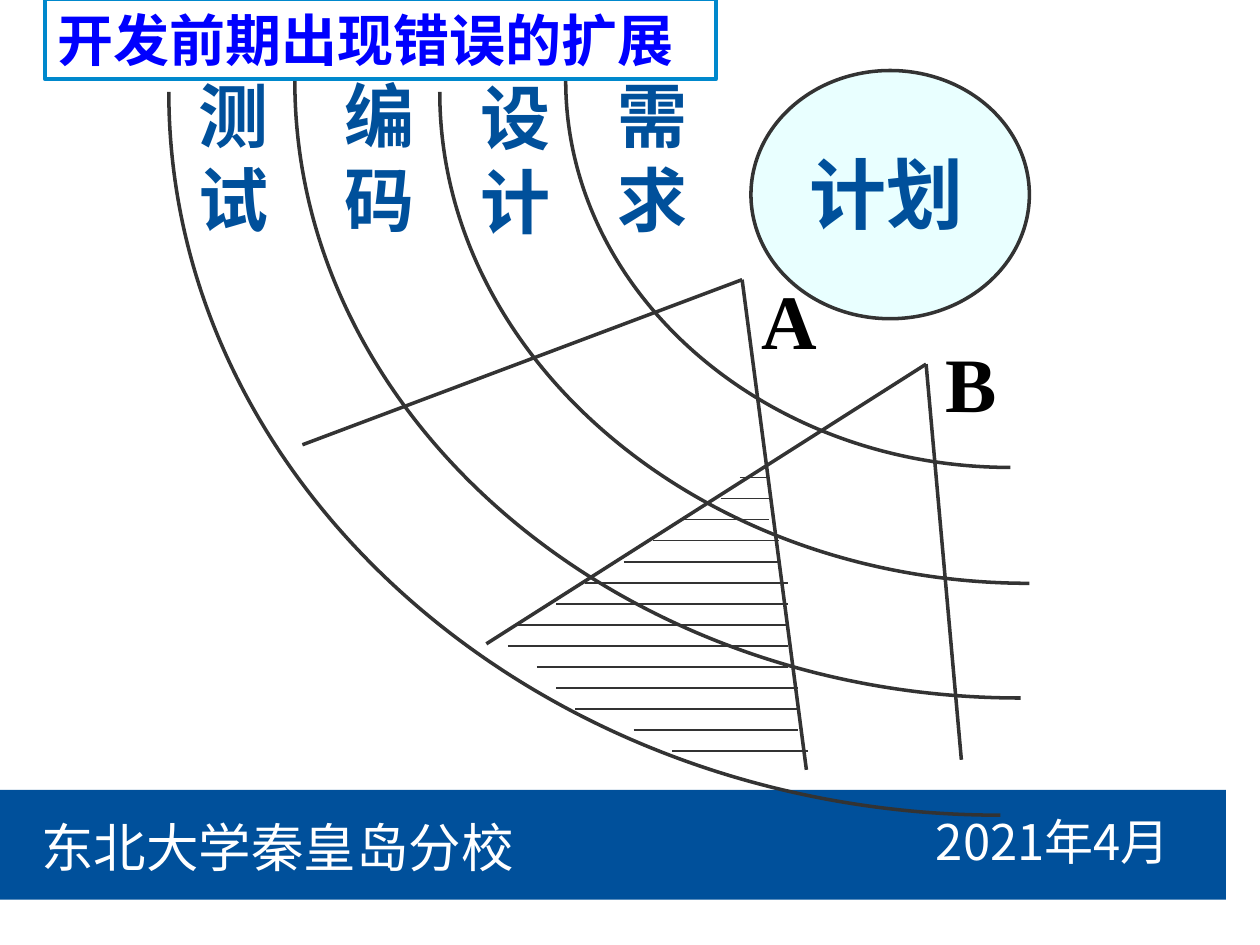
from pptx import Presentation
from pptx.dml.color import RGBColor
from pptx.enum.shapes import MSO_CONNECTOR, MSO_SHAPE
from pptx.enum.text import MSO_ANCHOR, PP_ALIGN
from pptx.util import Inches, Pt
from lxml import etree

RECT, OVAL = MSO_SHAPE.RECTANGLE, MSO_SHAPE.OVAL
LEFT, MID = PP_ALIGN.LEFT, PP_ALIGN.CENTER
TOP, CORE = MSO_ANCHOR.TOP, MSO_ANCHOR.MIDDLE
LINE = MSO_CONNECTOR.STRAIGHT
NS = "{http://schemas.openxmlformats.org/drawingml/2006/main}"

THEME = {
    "navy": "00509B", "sky": "0088CC", "pale": "E9FFFF", "ink": "333333",
    "blue": "0000FF", "white": "FFFFFF", "black": "000000",
    "sans": "Noto Sans CJK SC", "serif": "Times New Roman",
    "title": 32, "plan": 44, "phase": 40, "mark": 44, "place": 30, "date": 28,
    "pitch": 1.2, "thin": 1, "bold": 2, "frame": 2.25,
}

WIDE, HIGH = 10, 7.5
BAND = (0, 6.27, 9.73, 0.87)
PLAN = (5.96, 0.56, 2.21, 1.97)
HEAD = (0.36, -0.01, 5.32, 0.64)

# text, box, size key, colour key, font key, bold, alignment
FOOT = [
    ("东北大学秦皇岛分校", (0.23, 6.41, 3.99, 0.61), "place", "white", "sans", False, LEFT),
    ("2021年4月", (7.19, 6.41, 2.33, 0.52), "date", "white", "sans", False, MID),
]
LABELS = [
    ("计划", (6.32, 1.11, 1.44, 0.84), "plan", "navy", "sans", True, MID),
    ("A", (5.94, 2.11, 0.65, 0.84), "mark", "black", "serif", True, MID),
    ("B", (7.4, 2.61, 0.61, 0.84), "mark", "black", "serif", True, MID),
]
# phase, centre of its label, label top, then left, top, width, height of its arc
PHASES = [
    ("需求", 5.18, 0.53, (4.49, 0.64, 3.53, 3.07)),
    ("设计", 4.09, 0.54, (3.49, 0.73, 4.68, 3.9)),
    ("编码", 3.01, 0.53, (2.34, 0.64, 5.76, 4.9)),
    ("测试", 1.85, 0.53, (1.34, 0.73, 6.6, 5.74)),
]
# tip of each error cone and the ends of its two sides
CONES = [
    ((5.89, 2.22), [(2.4, 3.53), (6.4, 6.11)]),
    ((7.35, 2.89), [(3.86, 5.11), (7.63, 6.03)]),
]
# first and last column of each hatch row
HATCH = [(24, 27), (22, 27), (18, 27), (15, 28), (12, 28), (8, 29), (5, 29),
         (1, 29), (0, 29), (3, 29), (5, 30), (7, 30), (13, 30), (17, 31)]
HATCH_X, HATCH_Y = 4.03, 3.79
COL = (6.41 - HATCH_X) / 31
ROW = (5.96 - HATCH_Y) / (len(HATCH) - 1)
BEND = 0.55

deck = Presentation()
deck.slide_width, deck.slide_height = Inches(WIDE), Inches(HIGH)
slide = deck.slides.add_slide(deck.slide_layouts[6])
shapes = slide.shapes


def tone(key):
    return RGBColor.from_string(THEME[key])


def paint(shape, fill=None, line=None, width="bold"):
    shape.shadow.inherit = False
    if fill:
        shape.fill.solid()
        shape.fill.fore_color.rgb = tone(fill)
    else:
        shape.fill.background()
    if line:
        shape.line.color.rgb = tone(line)
        shape.line.width = Pt(THEME[width])
    else:
        shape.line.fill.background()


def block(kind, box, **look):
    shape = shapes.add_shape(kind, *map(Inches, box))
    paint(shape, **look)
    return shape


def write(shape, lines, size, color, face, bold, align, anchor=CORE):
    """Set the lines as paragraphs; centred text needs no side margins."""
    body = shape.text_frame
    side = Inches(0 if align == MID else 0.1)
    form = {"word_wrap": False, "vertical_anchor": anchor,
            "margin_left": side, "margin_right": side,
            "margin_top": Inches(0.05), "margin_bottom": Inches(0.05)}
    for key, value in form.items():
        setattr(body, key, value)
    for i, text in enumerate(lines):
        para = body.paragraphs[0] if i == 0 else body.add_paragraph()
        para.alignment = align
        if len(lines) > 1:
            para.line_spacing = Pt(THEME[size] * THEME["pitch"])
        run = para.add_run()
        run.text = text
        for key, value in {"size": Pt(THEME[size]), "bold": bold,
                           "name": THEME[face]}.items():
            setattr(run.font, key, value)
        run.font.color.rgb = tone(color)
        east = etree.SubElement(run.font._element, NS + "ea")
        east.set("typeface", THEME[face])


def label(text, box, *style):
    write(shapes.add_textbox(*map(Inches, box)), [text], *style)


def arc(left, top, width, height):
    """Draw the lower left quarter of an ellipse as one cubic curve."""
    right, base = left + width, top + height
    dots = [(right - BEND * width, base), (left, top + BEND * height), (left, top)]
    path = shapes.build_freeform(Inches(right), Inches(base))
    path.add_line_segments([tuple(map(Inches, dot)) for dot in dots], close=False)
    shape = path.convert_to_shape()
    legs = list(shape._element.iter(NS + "lnTo"))
    curve = etree.SubElement(legs[0].getparent(), NS + "cubicBezTo")
    for leg in legs:
        curve.append(leg[0])
        leg.getparent().remove(leg)
    paint(shape, line="ink")


def stroke(start, end, width):
    line = shapes.add_connector(LINE, *map(Inches, (*start, *end)))
    line.line.color.rgb = tone("ink")
    line.line.width = Pt(THEME[width])
    etree.SubElement(line._element.spPr, NS + "effectLst")


block(RECT, BAND, fill="navy")
for item in FOOT:
    label(*item)
block(OVAL, PLAN, fill="pale", line="ink")
for *_, curve in PHASES:
    arc(*curve)
write(block(RECT, HEAD, line="sky", width="frame"), ["开发前期出现错误的扩展"],
      "title", "blue", "sans", True, LEFT)
for name, mid, top, _ in PHASES:
    box = shapes.add_textbox(*map(Inches, (mid - 0.38, top, 0.76, 1.44)))
    write(box, list(name), "phase", "navy", "sans", True, MID, TOP)
for tip, ends in CONES:
    for end in ends:
        stroke(tip, end, "bold")
for item in LABELS:
    label(*item)
for i, cols in enumerate(HATCH):
    y = HATCH_Y + i * ROW
    stroke(*((HATCH_X + c * COL, y) for c in cols), "thin")

deck.save("out.pptx")
